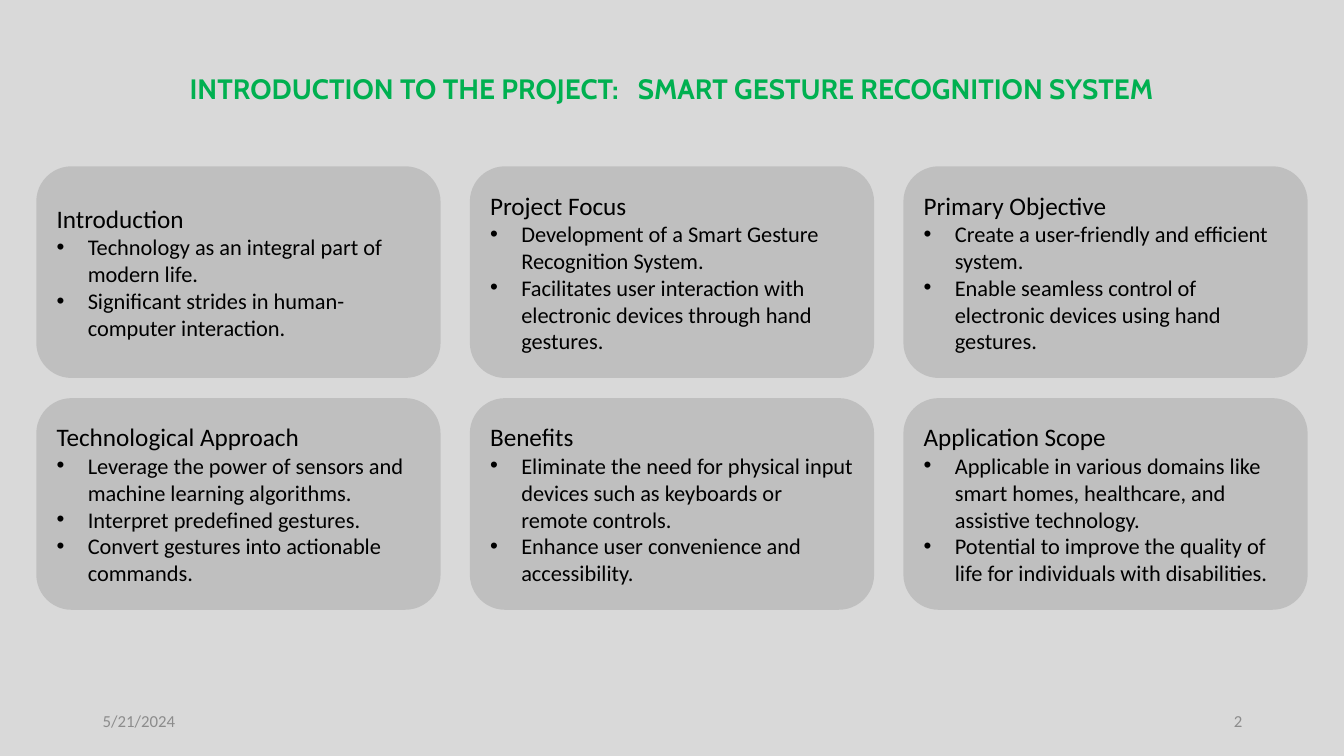
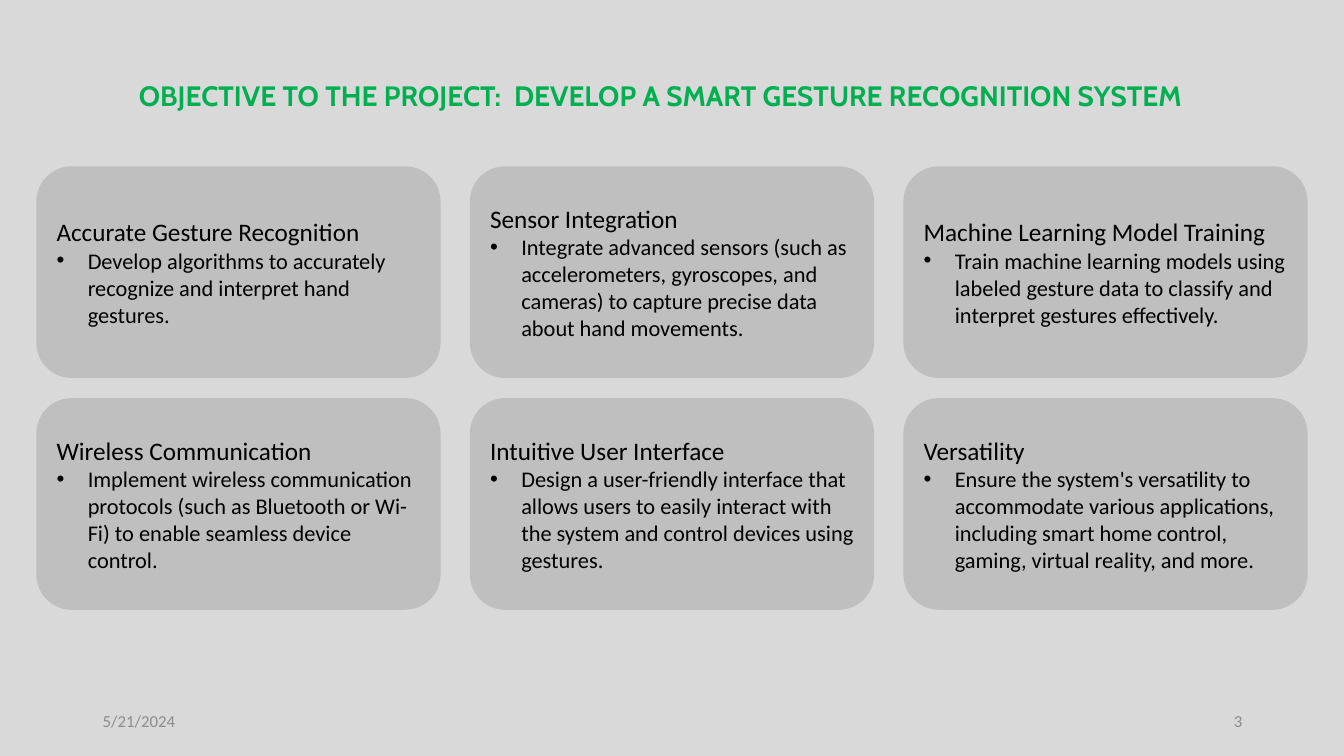
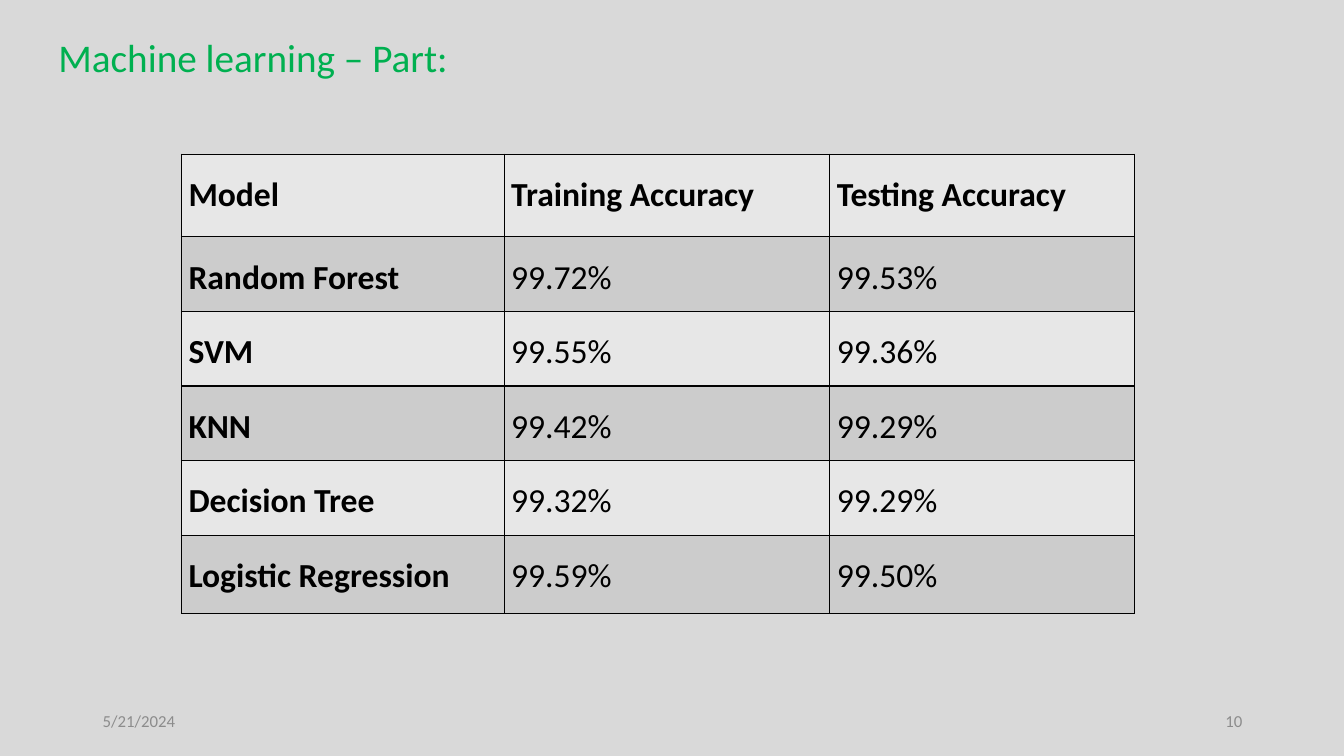
from lxml import etree
from pptx import Presentation
from pptx.dml.color import RGBColor
from pptx.enum.shapes import MSO_SHAPE
from pptx.enum.text import MSO_ANCHOR, MSO_AUTO_SIZE, PP_ALIGN
from pptx.oxml.ns import qn
from pptx.util import Inches, Pt

ROUNDED = MSO_SHAPE.ROUNDED_RECTANGLE
TOP, MIDDLE = MSO_ANCHOR.TOP, MSO_ANCHOR.MIDDLE
GROW = MSO_AUTO_SIZE.SHAPE_TO_FIT_TEXT
LEFT, CENTER, RIGHT, JUSTIFY = (
    PP_ALIGN.LEFT, PP_ALIGN.CENTER, PP_ALIGN.RIGHT, PP_ALIGN.JUSTIFY)

# Shared look
SLIDE_SIZE = (13.33, 7.5)
BACKGROUND, CARD_FILL, BLACK = "D9D9D9", "BFBFBF", "000000"
ROW_FILLS = ("E7E7E7", "CCCCCC")
GREEN, GREY = "00B050", "8C8C8C"
BANNER = {"name": "Cabin", "size": 20, "bold": True, "color": GREEN}
HEADING = {"name": "Calibri", "size": 28, "color": GREEN}
FOOTER = {"name": "Calibri", "size": 12, "color": GREY}
CARD_HEAD = {"name": "Calibri", "size": 18, "color": BLACK}
CARD_ITEM = {**CARD_HEAD, "size": 16}
CELL_TEXT = {**CARD_HEAD, "size": 24}
DATE = "5/21/2024"

# Card grid
CARD_COLUMNS = 3
CARD_LEFT, CARD_TOP = 0.36, 1.65
CARD_WIDTH, CARD_HEIGHT = 4.01, 2.1
COLUMN_STEP, ROW_STEP = 4.3, 2.3
BULLET_INDENT = 0.31

# Table grid
TABLE_LEFT, TABLE_TOP = 1.8, 1.53
COLUMN_WIDTHS = (3.2, 3.23, 3.02)
ROW_HEIGHTS = (0.82, 0.74, 0.74, 0.74, 0.74, 0.78)

INTRODUCTION_CARDS = [
    ("Introduction", [
        "Technology as an integral part of modern life.",
        "Significant strides in human-computer interaction."]),
    ("Project Focus", [
        "Development of a Smart Gesture Recognition System.",
        "Facilitates user interaction with electronic devices through hand gestures."]),
    ("Primary Objective", [
        "Create a user-friendly and efficient system.",
        "Enable seamless control of electronic devices using hand gestures."]),
    ("Technological Approach", [
        "Leverage the power of sensors and machine learning algorithms.",
        "Interpret predefined gestures.",
        "Convert gestures into actionable commands."]),
    ("Benefits", [
        "Eliminate the need for physical input devices such as keyboards or remote controls.",
        "Enhance user convenience and accessibility."]),
    ("Application Scope", [
        "Applicable in various domains like smart homes, healthcare, and assistive technology.",
        "Potential to improve the quality of life for individuals with disabilities."]),
]

OBJECTIVE_CARDS = [
    ("Accurate Gesture Recognition", [
        "Develop algorithms to accurately recognize and interpret hand gestures."]),
    ("Sensor Integration", [
        "Integrate advanced sensors (such as accelerometers, gyroscopes, and cameras) "
        "to capture precise data about hand movements."]),
    ("Machine Learning Model Training", [
        "Train machine learning models using labeled gesture data to classify "
        "and interpret gestures effectively."]),
    ("Wireless Communication", [
        "Implement wireless communication protocols (such as Bluetooth or Wi-Fi) "
        "to enable seamless device control."]),
    ("Intuitive User Interface", [
        "Design a user-friendly interface that allows users to easily interact "
        "with the system and control devices using gestures."]),
    ("Versatility", [
        "Ensure the system's versatility to accommodate various applications, "
        "including smart home control, gaming, virtual reality, and more."]),
]

ACCURACY_ROWS = [
    ("Model", "Training Accuracy", "Testing Accuracy"),
    ("Random Forest", "99.72%", "99.53%"),
    ("SVM", "99.55%", "99.36%"),
    ("KNN", "99.42%", "99.29%"),
    ("Decision Tree", "99.32%", "99.29%"),
    ("Logistic Regression", "99.59%", "99.50%"),
]


def color(hex_string):
    return RGBColor.from_string(hex_string)


# Text
def add_run(paragraph, text, style):
    run = paragraph.add_run()
    run.text = text
    for name, value in style.items():
        if name == "color":
            run.font.color.rgb = color(value)
        else:
            setattr(run.font, name, Pt(value) if name == "size" else value)
    return run


def add_bullet(paragraph):
    properties = paragraph._p.get_or_add_pPr()
    properties.set("marL", str(Inches(BULLET_INDENT)))
    properties.set("indent", str(-Inches(BULLET_INDENT)))
    etree.SubElement(properties, qn("a:buFont"), typeface="Arial")
    etree.SubElement(properties, qn("a:buChar"), char="•")


def add_text(slide, box, text, style, alignment=LEFT, **frame_format):
    frame = slide.shapes.add_textbox(*map(Inches, box)).text_frame
    for name, value in {"word_wrap": True, **frame_format}.items():
        setattr(frame, name, value)
    paragraph = frame.paragraphs[0]
    paragraph.alignment = alignment
    if text:
        add_run(paragraph, text, style)
    return paragraph


def add_banner(slide, box, label, subject, gap):
    """Title in two parts, the space between them widened by gap points."""
    paragraph = add_text(slide, box, "", BANNER, CENTER, auto_size=GROW)
    add_run(paragraph, label, BANNER)
    space = add_run(paragraph, " ", BANNER)
    space._r.get_or_add_rPr().set("spc", str(int(gap * 100)))
    add_run(paragraph, subject, BANNER)


# Slide parts
def add_slide(presentation, number):
    slide = presentation.slides.add_slide(presentation.slide_layouts[6])
    add_text(slide, (0.92, 6.95, 3, 0.4), DATE, FOOTER, vertical_anchor=MIDDLE)
    add_text(slide, (9.42, 6.95, 3, 0.4), str(number), FOOTER, RIGHT,
             vertical_anchor=MIDDLE)
    return slide


def add_card(slide, left, top, heading, items):
    box = (left, top, CARD_WIDTH, CARD_HEIGHT)
    card = slide.shapes.add_shape(ROUNDED, *map(Inches, box))
    card.shadow.inherit = False
    card.fill.solid()
    card.fill.fore_color.rgb = color(CARD_FILL)
    card.line.fill.background()
    frame = card.text_frame
    frame.word_wrap = True
    frame.vertical_anchor = MIDDLE
    paragraph = frame.paragraphs[0]
    paragraph.alignment = LEFT
    add_run(paragraph, heading, CARD_HEAD)
    for item in items:
        paragraph = frame.add_paragraph()
        paragraph.alignment = LEFT
        add_bullet(paragraph)
        add_run(paragraph, item, CARD_ITEM)


def add_cards(slide, cards):
    for index, (heading, items) in enumerate(cards):
        row, column = divmod(index, CARD_COLUMNS)
        add_card(slide, CARD_LEFT + column * COLUMN_STEP,
                 CARD_TOP + row * ROW_STEP, heading, items)


def add_borders(cell):
    properties = cell._tc.get_or_add_tcPr()
    for side in ("a:lnL", "a:lnR", "a:lnT", "a:lnB"):
        line = etree.SubElement(properties, qn(side), w=str(Pt(1)))
        fill = etree.SubElement(line, qn("a:solidFill"))
        etree.SubElement(fill, qn("a:srgbClr"), val=BLACK)


def fill_cell(cell, text, fill, bold):
    cell_format = {
        "margin_left": Inches(0.07), "margin_right": Inches(0.07),
        "margin_top": 0, "margin_bottom": 0, "vertical_anchor": TOP}
    for name, value in cell_format.items():
        setattr(cell, name, value)
    add_borders(cell)
    cell.fill.solid()
    cell.fill.fore_color.rgb = color(fill)
    paragraph = cell.text_frame.paragraphs[0]
    paragraph.alignment = JUSTIFY
    paragraph.line_spacing = 1.5
    add_run(paragraph, text, {**CELL_TEXT, "bold": bold})


def add_accuracy_table(slide, rows):
    box = (TABLE_LEFT, TABLE_TOP, sum(COLUMN_WIDTHS), sum(ROW_HEIGHTS))
    table = slide.shapes.add_table(
        len(rows), len(COLUMN_WIDTHS), *map(Inches, box)).table
    table.first_row = table.horz_banding = False
    for column, width in zip(table.columns, COLUMN_WIDTHS):
        column.width = Inches(width)
    for row, height in zip(table.rows, ROW_HEIGHTS):
        row.height = Inches(height)
    for row_index, values in enumerate(rows):
        for column_index, value in enumerate(values):
            fill_cell(table.cell(row_index, column_index), value,
                      ROW_FILLS[row_index % 2],
                      bold=row_index == 0 or column_index == 0)


def main():
    presentation = Presentation()
    presentation.slide_width, presentation.slide_height = map(Inches, SLIDE_SIZE)
    background = presentation.slide_master.background.fill
    background.solid()
    background.fore_color.rgb = color(BACKGROUND)

    # Introduction
    slide = add_slide(presentation, 2)
    add_banner(slide, (0.36, 0.66, 12.6, 0.44), "INTRODUCTION TO THE PROJECT:",
               "SMART GESTURE RECOGNITION SYSTEM", gap=9)
    add_cards(slide, INTRODUCTION_CARDS)

    # Objective
    slide = add_slide(presentation, 3)
    add_banner(slide, (0.09, 0.73, 12.92, 0.77), "OBJECTIVE TO THE PROJECT:",
               "DEVELOP A SMART GESTURE RECOGNITION SYSTEM", gap=4.5)
    add_cards(slide, OBJECTIVE_CARDS)

    # Model accuracy
    slide = add_slide(presentation, 10)
    add_text(slide, (0.24, 0.28, 4.54, 0.57), "Machine learning – Part:",
             HEADING, CENTER, auto_size=GROW)
    add_accuracy_table(slide, ACCURACY_ROWS)

    presentation.save("out.pptx")


if __name__ == "__main__":
    main()
